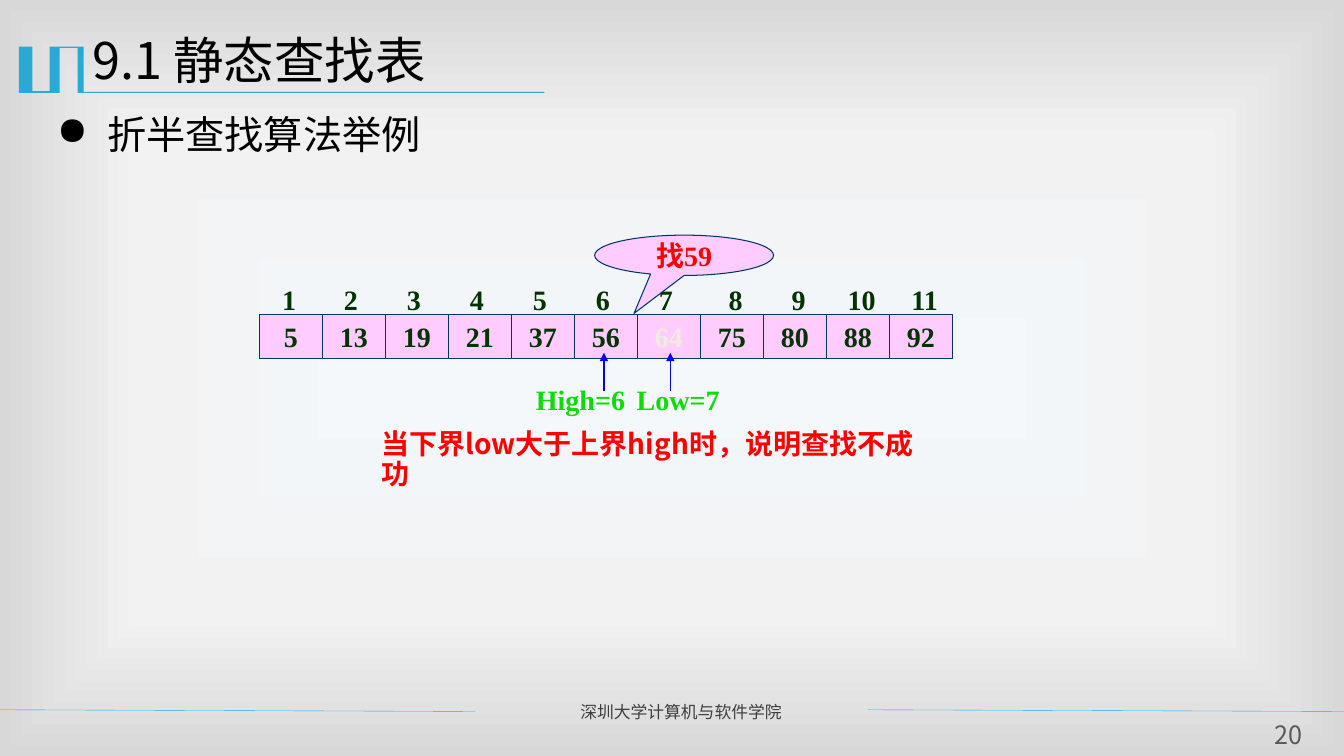
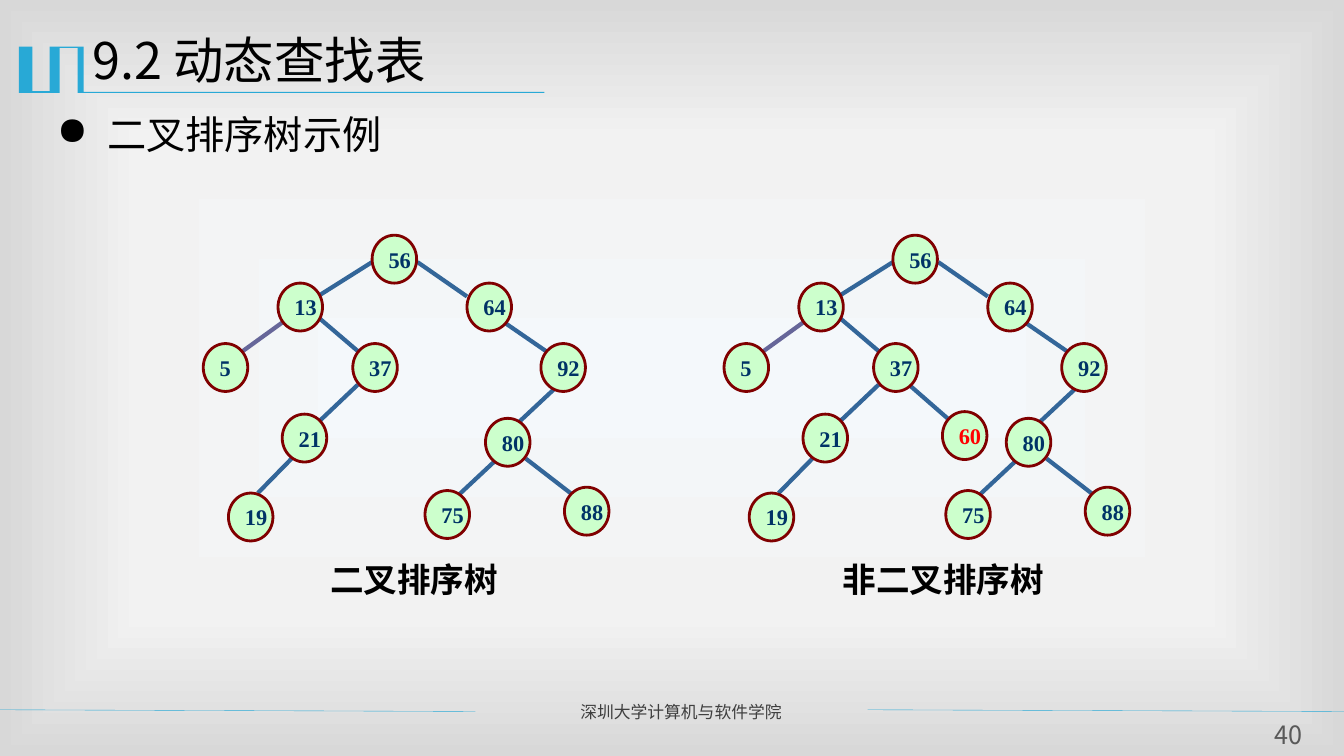
import pptx
import pptx.dml.color
import pptx.enum.shapes
import pptx.enum.text
import pptx.oxml
import pptx.oxml.ns
import pptx.util

WIDTH, HEIGHT = pptx.util.Inches(13.333), pptx.util.Inches(7.5)
COLUMNS, ROWS = 160, 90

COLORS = {
    "black": "000000", "footer": "3F3F3F", "page": "595959", "accent": "28A9D6",
    "digit": "003300", "faded": "EEECE1", "cell": "FFCCFF", "navy": "003366",
    "arrow": "0000FF", "bound": "0CDD07", "red": "FF0000", "node": "CCFFCC",
    "ring": "800000", "edge": "336699", "leaf_edge": "666699",
}
GRADIENT = ((0, "F4F8FB"), (63, "F2F2F2"), (100, "D8D8D8"))
SANS, SERIF, CAPTION_FONT = "Noto Sans CJK SC", "Times New Roman", "Cabin"
SHAPES = pptx.enum.shapes.MSO_SHAPE
ALIGN = pptx.enum.text.PP_ALIGN
ANCHOR = pptx.enum.text.MSO_ANCHOR

LOGO = (
    (9.95, 5.55), (9.95, 10.95), (64.8, 10.95), (64.8, 11.07), (9.25, 11.07),
    (9.25, 5.7), (7.1, 5.7), (7.1, 11.07), (2.25, 11.07), (2.25, 5.55),
    (3.85, 5.55), (3.85, 10.85), (5.9, 10.85), (5.9, 5.55),
)

VALUES = (5, 13, 19, 21, 37, 56, 64, 75, 80, 88, 92)
CELL_LEFT, CELL_TOP, CELL_WIDTH, CELL_HEIGHT = 30.87, 37.45, 7.5, 5.25

NODE_WIDTH, NODE_HEIGHT = 5.3, 5.7
NODES = {
    56: (44.3, 28), 13: (33.1, 33.7), 64: (55.6, 33.7), 5: (24.2, 40.9),
    37: (42, 40.9), 92: (64.4, 40.9), 21: (33.6, 49.3), 80: (57.8, 49.8),
    19: (27.2, 58.7), 75: (50.6, 58.4), 88: (67.2, 58),
}
EDGES = {
    (56, 13): (44.3, 31.2, 37.8, 35.3), (56, 64): (49.7, 31.2, 55.6, 35.3),
    (13, 5): (33.6, 38.4, 28.9, 41.8), (13, 37): (37.8, 37.7, 42.6, 41.8),
    (64, 92): (60.2, 38.5, 65, 41.8), (37, 21): (42.6, 45.8, 36.7, 51.4),
    (92, 80): (66, 46.3, 61.4, 50.6), (21, 19): (35.4, 53.9, 30.7, 58.7),
    (80, 75): (58.8, 55, 54.2, 59.3), (80, 88): (62.6, 54.6, 68.3, 59),
}
WRONG_NODE = {60: (50.2, 49)}
WRONG_EDGE = {(37, 60): (46.1, 45.7, 50.8, 49.8)}


def column(count):
    return pptx.util.Emu(round(WIDTH * count / COLUMNS))


def row(count):
    return pptx.util.Emu(round(HEIGHT * count / ROWS))


def place(left, top, width, height):
    return column(left), row(top), column(width), row(height)


def rgb(name):
    return pptx.dml.color.RGBColor.from_string(COLORS[name])


def drawing(xml):
    return pptx.oxml.parse_xml(xml.replace(" ", f" {pptx.oxml.ns.nsdecls('a')} ", 1))


def write_text(shape, text, size=20, font=SANS, color="black", bold=False,
               align=ALIGN.LEFT, anchor=ANCHOR.TOP, wrap=True, side_inset=0.1,
               top_inset=0.05, spacing=None, bullet=None, tabs=()):
    frame = shape.text_frame
    frame.word_wrap = wrap
    frame.vertical_anchor = anchor
    frame.margin_left = frame.margin_right = pptx.util.Inches(side_inset)
    frame.margin_top = frame.margin_bottom = pptx.util.Inches(top_inset)
    paragraph = frame.paragraphs[0]
    paragraph.alignment = align
    if spacing:
        paragraph.line_spacing = spacing
    properties = paragraph._p.get_or_add_pPr()
    if bullet:
        indent = pptx.util.Inches(0.5)
        properties.set("marL", str(indent))
        properties.set("indent", str(-indent))
        properties.append(drawing(f'<a:buChar char="{bullet}"/>'))
    if tabs:
        stops = "".join(f'<a:tab pos="{column(stop)}" algn="ctr"/>' for stop in tabs)
        properties.append(drawing(f"<a:tabLst >{stops}</a:tabLst>"))
    run = paragraph.add_run()
    run.text = text
    run.font.size = pptx.util.Pt(size)
    run.font.bold = bold
    run.font.color.rgb = rgb(color)
    run.font.name = font
    run._r.get_or_add_rPr().append(drawing(f'<a:ea typeface="{SANS}"/>'))


def add_text(slide, box, text, **style):
    write_text(slide.shapes.add_textbox(*place(*box)), text, **style)


def add_shape(slide, kind, box, text, fill, outline, outline_width, **style):
    shape = slide.shapes.add_shape(kind, *place(*box))
    shape.shadow.inherit = False
    shape.fill.solid()
    shape.fill.fore_color.rgb = rgb(fill)
    shape.line.color.rgb = rgb(outline)
    shape.line.width = pptx.util.Pt(outline_width)
    write_text(shape, text, font=SERIF, bold=True, anchor=ANCHOR.MIDDLE,
               wrap=False, **style)
    return shape


def add_line(slide, x1, y1, x2, y2, color, width, arrow=False):
    line = slide.shapes.add_connector(
        pptx.enum.shapes.MSO_CONNECTOR.STRAIGHT,
        column(x1), row(y1), column(x2), row(y2))
    line.line.color.rgb = rgb(color)
    line.line.width = pptx.util.Pt(width)
    if arrow:
        line.line._get_or_add_ln().append(drawing('<a:tailEnd type="triangle"/>'))
    line._element.spPr.append(drawing("<a:effectLst />"))


def add_logo(slide):
    start, *rest = [(column(x), row(y)) for x, y in LOGO]
    builder = slide.shapes.build_freeform(*start)
    builder.add_line_segments(rest)
    logo = builder.convert_to_shape()
    logo.shadow.inherit = False
    logo.fill.solid()
    logo.fill.fore_color.rgb = rgb("accent")
    logo.line.fill.background()


def set_background(master):
    fill = master.background.fill
    fill.gradient()
    stops = "".join(f'<a:gs pos="{position * 1000}"><a:srgbClr val="{color}"/></a:gs>'
                    for position, color in GRADIENT)
    gradient = drawing(
        f'<a:gradFill rotWithShape="1"><a:gsLst>{stops}</a:gsLst><a:path path="rect">'
        '<a:fillToRect l="50000" t="50000" r="50000" b="50000"/></a:path></a:gradFill>')
    default = next(master.element.cSld.iter(pptx.oxml.ns.qn("a:gradFill")))
    default.getparent().replace(default, gradient)


def add_slide(presentation, title, topic, number):
    slide = presentation.slides.add_slide(presentation.slide_layouts[6])
    add_logo(slide)
    for left, right in ((0, 56.6), (103.3, COLUMNS)):
        add_line(slide, left, 84.5, right, 84.7, "accent", 0.25)
    add_text(slide, (67.9, 82.9, 34.2, 3.6), "深圳大学计算机与软件学院",
             size=12, color="footer", align=ALIGN.JUSTIFY)
    add_text(slide, (5.6, 12.5, 145.6, 8), topic, size=28, bullet="●")
    add_text(slide, (9.8, 2.9, 144, 10.4), title, size=36)
    add_text(slide, (149.8, 85.6, 7.1, 3.7), str(number), size=18, color="page",
             align=ALIGN.CENTER, side_inset=0, top_inset=0)
    return slide


def add_array(slide):
    stops = [0.7 + CELL_WIDTH * index + (0.8 if index > 6 else 0)
             for index in range(1, len(VALUES))]
    labels = "\t".join(str(index + 1) for index in range(len(VALUES)))
    add_text(slide, (32.4, 33, 85, CELL_HEIGHT), labels, font=SERIF,
             color="digit", bold=True, tabs=stops)
    for index, value in enumerate(VALUES):
        box = (CELL_LEFT + index * CELL_WIDTH, CELL_TOP, CELL_WIDTH, CELL_HEIGHT)
        add_shape(slide, SHAPES.RECTANGLE, box, str(value), "cell", "navy", 0.75,
                  color="faded" if value == 64 else "digit", align=ALIGN.CENTER)


def add_bound(slide, text, left, width, arrow_column):
    add_line(slide, arrow_column, 46.5, arrow_column, 42, "arrow", 1, arrow=True)
    add_text(slide, (left, 45, width, CELL_HEIGHT), text, font=SERIF,
             color="bound", bold=True, side_inset=0)


def add_tree(slide, caption, caption_left, nodes, edges, shift=0):
    for (_, child), (x1, y1, x2, y2) in edges.items():
        add_line(slide, x1 + shift, y1, x2 + shift, y2,
                 "leaf_edge" if child == 5 else "edge", 3)
    for value, (left, top) in nodes.items():
        box = (left + shift, top, NODE_WIDTH, NODE_HEIGHT)
        add_shape(slide, SHAPES.OVAL, box, str(value), "node", "ring", 2, size=16,
                  color="red" if value in WRONG_NODE else "navy")
    add_text(slide, (caption_left, 66, 28, 6), caption, size=24,
             font=CAPTION_FONT, bold=True, align=ALIGN.CENTER)


def add_search_slide(presentation):
    slide = add_slide(presentation, "9.1 静态查找表", "折半查找算法举例", 20)
    add_array(slide)
    add_bound(slide, "High=6", 63.8, 15, 71.9)
    add_bound(slide, "Low=7", 75.8, 12, 79.8)
    callout = add_shape(slide, SHAPES.OVAL_CALLOUT, (70.8, 28, 21.3, 4.8), "找59",
                        "cell", "navy", 0.75, color="red", align=ALIGN.CENTER)
    callout.adjustments[0] = -0.28
    callout.adjustments[1] = 1.44
    add_text(slide, (44.2, 50.6, 68.4, 4.8), "当下界low大于上界high时，说明查找不成功",
             color="red", bold=True, spacing=0.9)


def add_tree_slide(presentation):
    slide = add_slide(presentation, "9.2 动态查找表", "二叉排序树示例", 40)
    add_tree(slide, "二叉排序树", 35.3, NODES, EDGES)
    add_tree(slide, "非二叉排序树", 98.3, {**NODES, **WRONG_NODE},
             {**EDGES, **WRONG_EDGE}, shift=62)


def main():
    presentation = pptx.Presentation()
    presentation.slide_width, presentation.slide_height = WIDTH, HEIGHT
    set_background(presentation.slide_master)
    add_search_slide(presentation)
    add_tree_slide(presentation)
    presentation.save("out.pptx")


if __name__ == "__main__":
    main()
